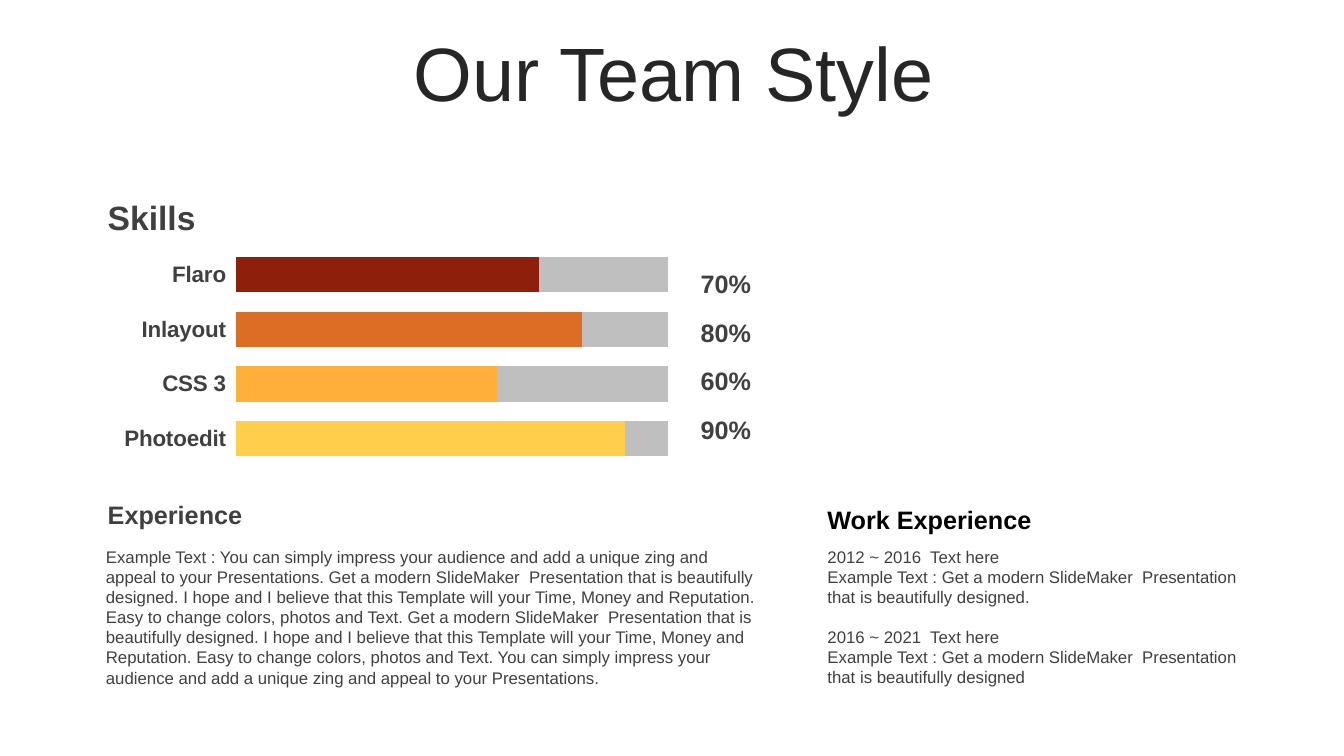
import dataclasses

import pptx
import pptx.chart.chart
import pptx.chart.data
import pptx.dml.color
import pptx.enum.chart
import pptx.enum.text
import pptx.oxml
import pptx.oxml.ns
import pptx.slide
import pptx.text.text
import pptx.util

RGB = pptx.dml.color.RGBColor
ALIGN = pptx.enum.text.PP_ALIGN
INK = RGB(0x26, 0x26, 0x26)
GREY = RGB(0x40, 0x40, 0x40)
BLACK = RGB(0x00, 0x00, 0x00)
REST = RGB(0xBF, 0xBF, 0xBF)
RED = RGB(0x8E, 0x1F, 0x0B)
RUST = RGB(0xDB, 0x6D, 0x25)
AMBER = RGB(0xFF, 0xB0, 0x3B)
GOLD = RGB(0xFF, 0xCE, 0x4B)
FONT = "Arial"

WIDE, HIGH = pptx.util.Inches(13.33), pptx.util.Inches(7.5)
COL, ROW = WIDE / 100, HIGH / 100
LEFT, RIGHT = 7.28, 60.83
BODY = 71.6
FULL = 111

PITCH = "Get a modern SlideMaker  Presentation that is beautifully designed"
HOPE = ("I hope and I believe that this Template will your Time, Money and Reputation. "
        "Easy to change colors, photos and Text.")
ZING = ("You can simply impress your audience and add a unique zing "
        "and appeal to your Presentations.")
STORY = f"Example Text : {ZING} {PITCH}. {HOPE} {PITCH}. {HOPE} {ZING}"
JOBS = (f"2012 ~ 2016  Text here\nExample Text : {PITCH}.\n"
        f"2016 ~ 2021  Text here\nExample Text : {PITCH}")


@dataclasses.dataclass(frozen=True)
class Area:
    col: float
    row: float
    cols: float
    rows: float

    def place(self) -> tuple[int, int, int, int]:
        return (round(self.col * COL), round(self.row * ROW),
                round(self.cols * COL), round(self.rows * ROW))


@dataclasses.dataclass(frozen=True)
class Label:
    text: str
    area: Area
    size: float
    bold: bool = True
    color: RGB = GREY
    align: ALIGN = ALIGN.LEFT
    inset: float = 0.1


@dataclasses.dataclass(frozen=True)
class Skill:
    name: str
    value: int
    share: str
    color: RGB


SKILLS = [
    Skill("Flaro", 78, "70%", RED),
    Skill("Inlayout", 89, "80%", RUST),
    Skill("CSS 3", 67, "60%", AMBER),
    Skill("Photoedit", 100, "90%", GOLD),
]

LABELS = [
    Label("Skills", Area(LEFT, 25.33, 24.75, 6.67), 24),
    Label("Experience", Area(LEFT, 65.33, 24.75, 5.33), 18),
    Label(STORY, Area(LEFT, BODY, 49.81, 20.13), 12, bold=False, inset=0.08),
    Label("Work Experience", Area(RIGHT, 66, 32.93, 5.33), 18, color=BLACK),
    Label(JOBS, Area(RIGHT, BODY, 32.93, 20.13), 12, bold=False),
] + [
    Label(skill.share, Area(50.18, 34.8 + 6.45 * step, 7.65, 5.33), 18,
          align=ALIGN.CENTER)
    for step, skill in enumerate(SKILLS)
]


def style(font: pptx.text.text.Font, size: float, color: RGB, bold: bool) -> None:
    font.name = FONT
    font.size = pptx.util.Pt(size)
    font.bold = bold
    font.color.rgb = color


def write(frame: pptx.text.text.TextFrame, label: Label) -> None:
    frame.text = label.text
    frame.word_wrap = True
    frame.margin_left = frame.margin_right = pptx.util.Inches(label.inset)
    for para in frame.paragraphs:
        para.alignment = label.align
        for run in para.runs:
            style(run.font, label.size, label.color, label.bold)


def add_title(slide: pptx.slide.Slide) -> None:
    title = slide.shapes.title
    area = Area(2.63, 4.93, 94.97, 10.53)
    title.left, title.top, title.width, title.height = area.place()
    write(title.text_frame, Label("Our Team Style", area, 54, False, INK, ALIGN.CENTER))
    title.text_frame.auto_size = pptx.enum.text.MSO_AUTO_SIZE.NONE
    title.text_frame.vertical_anchor = pptx.enum.text.MSO_ANCHOR.MIDDLE
    title.text_frame.paragraphs[0].line_spacing = 0.9


def add_label(slide: pptx.slide.Slide, label: Label) -> pptx.text.text.TextFrame:
    frame = slide.shapes.add_textbox(*label.area.place()).text_frame
    write(frame, label)
    return frame


def set_plot(chart: pptx.chart.chart.Chart) -> None:
    plot = chart.element.find(".//{*}plotArea")
    for old in plot.findall("{*}layout"):
        plot.remove(old)
    plot.insert(0, pptx.oxml.parse_xml(
        f'<c:layout {pptx.oxml.ns.nsdecls("c")}><c:manualLayout>'
        '<c:layoutTarget val="inner"/><c:xMode val="edge"/><c:yMode val="edge"/>'
        '<c:x val="0.206"/><c:y val="0.02"/><c:w val="0.644"/><c:h val="0.96"/>'
        '</c:manualLayout></c:layout>'))


def add_bars(slide: pptx.slide.Slide) -> None:
    bars = SKILLS[::-1]
    data = pptx.chart.data.CategoryChartData()
    data.categories = [skill.name for skill in bars]
    data.add_series("Series 1", [skill.value for skill in bars])
    data.add_series("Series 2", [FULL - skill.value for skill in bars])
    chart = slide.shapes.add_chart(
        pptx.enum.chart.XL_CHART_TYPE.BAR_STACKED,
        *Area(LEFT, 32.13, 49.89, 30.13).place(), data).chart
    style(chart.font, 18, BLACK, False)
    chart.has_legend = chart.has_title = False
    plot = chart.plots[0]
    plot.gap_width, plot.overlap = 54, 100
    plot.vary_by_categories = False
    for series, color in zip(plot.series, (RED, REST)):
        series.format.fill.solid()
        series.format.fill.fore_color.rgb = color
    for index, skill in enumerate(bars):
        fill = plot.series[0].points[index].format.fill
        fill.solid()
        fill.fore_color.rgb = skill.color
    names, scale = chart.category_axis, chart.value_axis
    style(names.tick_labels.font, 16, GREY, True)
    names.format.line.fill.background()
    scale.minimum_scale, scale.maximum_scale = 0, FULL
    scale.has_major_gridlines = False
    scale.visible = False
    set_plot(chart)


def main() -> None:
    deck = pptx.Presentation()
    deck.slide_width, deck.slide_height = WIDE, HIGH
    slide = deck.slides.add_slide(deck.slide_layouts.get_by_name("Title Only"))
    add_title(slide)
    add_bars(slide)
    for label in LABELS:
        frame = add_label(slide, label)
        for para in frame.paragraphs[2::2]:
            para.space_before = pptx.util.Pt(14)
    deck.save("out.pptx")


if __name__ == "__main__":
    main()
